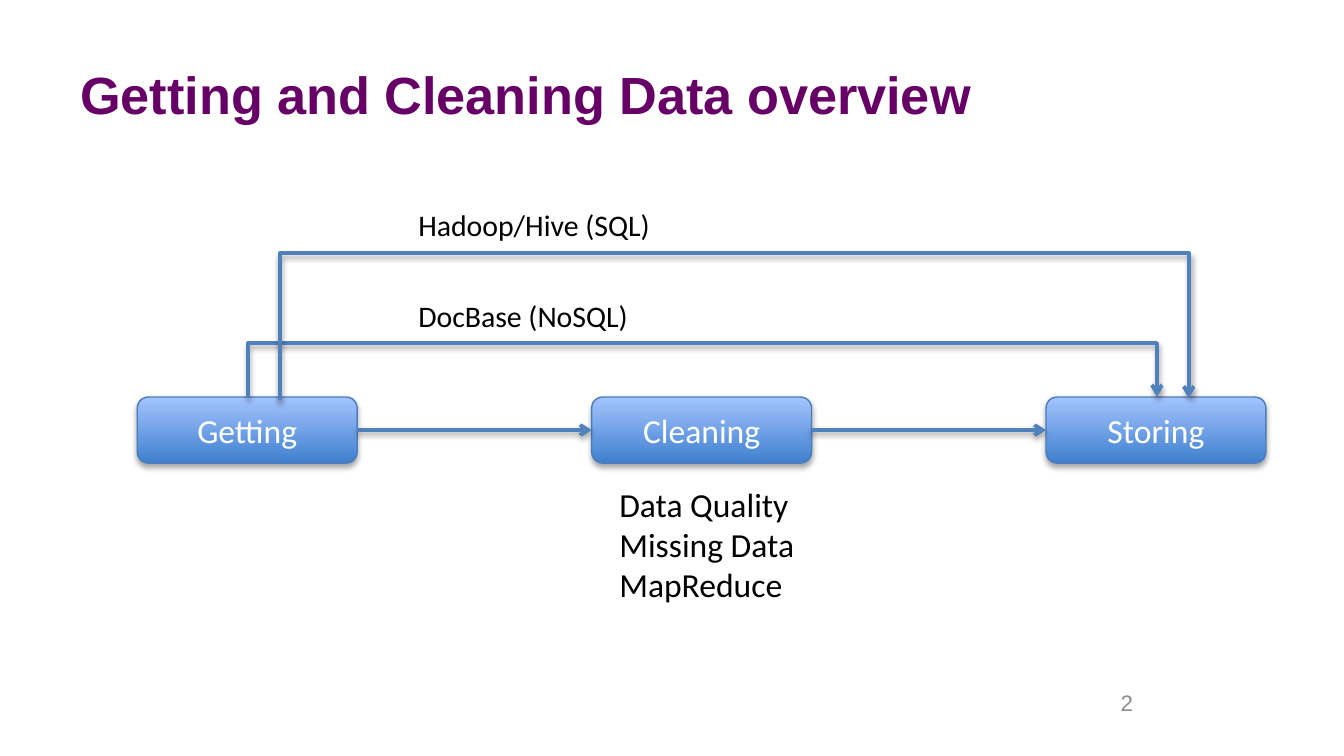
from lxml import etree
from pptx import Presentation
from pptx.dml.color import RGBColor
from pptx.enum.shapes import MSO_CONNECTOR, MSO_SHAPE
from pptx.enum.text import MSO_ANCHOR, PP_ALIGN
from pptx.oxml.ns import qn
from pptx.util import Pt

STRAIGHT, ROUNDED = MSO_CONNECTOR.STRAIGHT, MSO_SHAPE.ROUNDED_RECTANGLE
LEFT, CENTER, RIGHT = PP_ALIGN.LEFT, PP_ALIGN.CENTER, PP_ALIGN.RIGHT
TOP, MIDDLE = MSO_ANCHOR.TOP, MSO_ANCHOR.MIDDLE

STEPS = ["Getting", "Cleaning", "Storing"]
BOX_LEFT, BOX_TOP, BOX_W, BOX_H, PITCH = 73.6, 212.7, 117.8, 35.4, 243.4
GRADIENT = ["3F80CE", "A4C4FF"]
BOX_LINE, ARROW_LINE = "4B7EBC", "4F81BD"

# Bypass routes: start x, start y, height of the long run, end y
ROUTES = [(133, 213, 183.8, 212.5), (150, 214.3, 135.7, 213.2)]

TITLE = dict(size=Pt(28), name="Arial", bold=True, color="660066")
NUMBER = dict(size=Pt(12), name="Arial", color="8C8C8C")
STEP = dict(size=Pt(18), name="Calibri", color="FFFFFF")
NOTE = dict(size=Pt(18), name="Calibri", color="000000")
LABEL = dict(NOTE, size=Pt(16))

# lines, (left, top, width, height), format, alignment, anchor, wrap
TEXTS = [
    (["Getting and Cleaning Data overview"], (36, 16.5, 648, 67.7), TITLE, LEFT, MIDDLE, True),
    (["2"], (548.6, 365.8, 65.5, 21.6), NUMBER, RIGHT, MIDDLE, True),
    (["Hadoop/Hive (SQL)"], (217, 107.3, 140.4, 26.6), LABEL, LEFT, TOP, False),
    (["DocBase (NoSQL)"], (217, 156.2, 137.5, 26.6), LABEL, LEFT, TOP, False),
    (["Data Quality", "Missing Data", "MapReduce"], (324.7, 255.6, 109.4, 72.7),
     NOTE, LEFT, TOP, False),
]


def rgb(color):
    return RGBColor.from_string(color)


def write(tf, lines, fmt, align, anchor, wrap):
    tf.word_wrap, tf.vertical_anchor = wrap, anchor
    for i, line in enumerate(lines):
        p = tf.paragraphs[0] if i == 0 else tf.add_paragraph()
        p.alignment = align
        r = p.add_run()
        r.text = line
        for key, value in fmt.items():
            if key == "color":
                r.font.color.rgb = rgb(value)
            else:
                setattr(r.font, key, value)


def add_shadow(sp, alpha, distance):
    """Append a soft black shadow; call after fill and line are set."""
    effects = etree.SubElement(sp.element.spPr, qn("a:effectLst"))
    shadow = etree.SubElement(effects, qn("a:outerShdw"), blurRad=str(Pt(3.15)),
                              dist=str(Pt(distance)), dir="5400000", rotWithShape="0")
    black = etree.SubElement(shadow, qn("a:srgbClr"), val="000000")
    etree.SubElement(black, qn("a:alpha"), val=str(alpha * 1000))


def style_arrow(sp):
    sp.line.color.rgb = rgb(ARROW_LINE)
    sp.line.width = Pt(2)
    etree.SubElement(sp.line._get_or_add_ln(), qn("a:tailEnd"), type="arrow")
    add_shadow(sp, 38, 1.6)


def add_step(s, text, left):
    sp = s.shapes.add_shape(ROUNDED, Pt(left), Pt(BOX_TOP), Pt(BOX_W), Pt(BOX_H))
    sp.fill.gradient()
    sp.fill.gradient_angle = 90
    for stop, color in zip(sp.fill.gradient_stops, GRADIENT):
        stop.color.rgb = rgb(color)
    sp.line.color.rgb = rgb(BOX_LINE)
    sp.line.width = Pt(0.75)
    add_shadow(sp, 35, 1.8)
    write(sp.text_frame, [text], STEP, CENTER, MIDDLE, True)
    return sp


def add_route(s, x, start_y, run_y, end_y):
    """Draw an arrow up, across to the last step and down."""
    end_x = x + PITCH * (len(STEPS) - 1)
    points = [(x, run_y), (end_x, run_y), (end_x, end_y)]
    builder = s.shapes.build_freeform(Pt(x), Pt(start_y))
    builder.add_line_segments([(Pt(px), Pt(py)) for px, py in points], close=False)
    sp = builder.convert_to_shape()
    sp.fill.background()
    style_arrow(sp)


prs = Presentation()
prs.slide_width, prs.slide_height = Pt(720), Pt(405)
s = prs.slides.add_slide(prs.slide_layouts[6])

boxes = [add_step(s, text, BOX_LEFT + i * PITCH) for i, text in enumerate(STEPS)]
for source, target in zip(boxes, boxes[1:]):
    arrow = s.shapes.add_connector(STRAIGHT, 0, 0, 0, 0)
    arrow.begin_connect(source, 3)
    arrow.end_connect(target, 1)
    style_arrow(arrow)
for route in ROUTES:
    add_route(s, *route)

for lines, frame, fmt, align, anchor, wrap in TEXTS:
    box = s.shapes.add_textbox(*map(Pt, frame))
    write(box.text_frame, lines, fmt, align, anchor, wrap)

prs.save("out.pptx")
